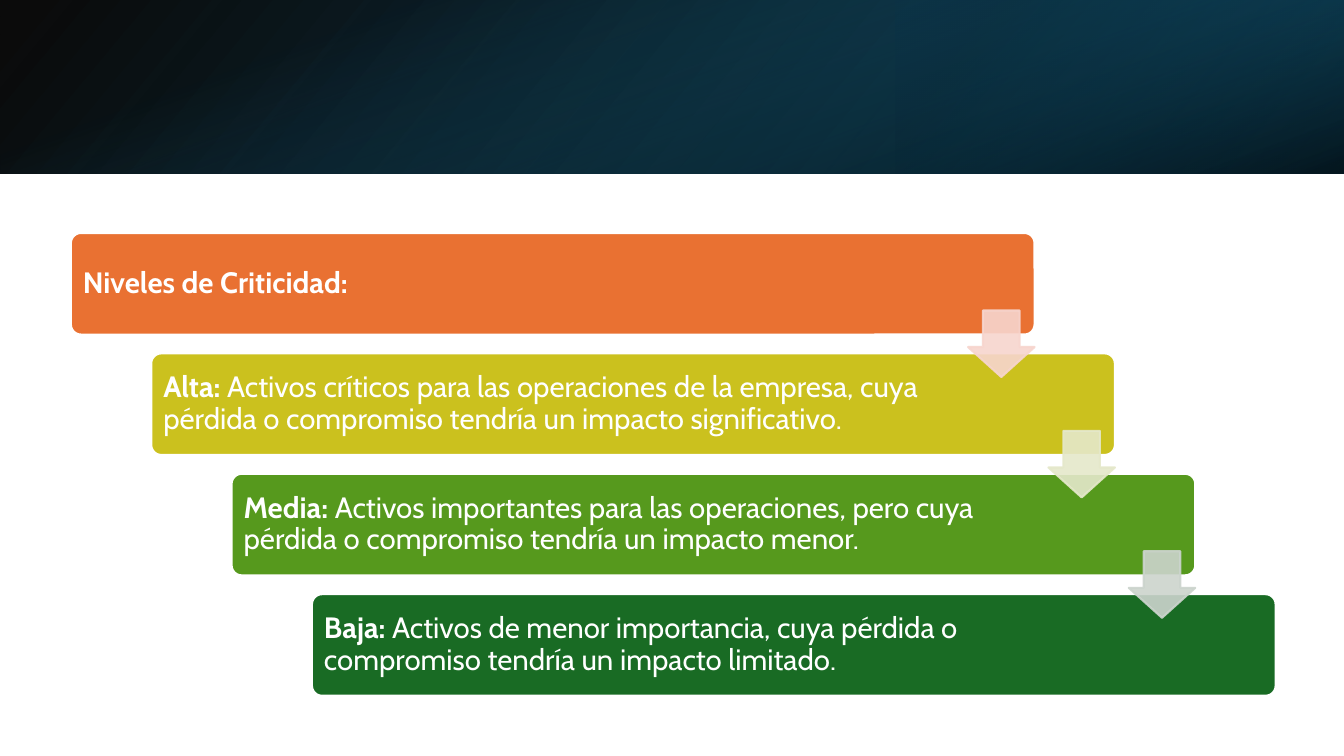
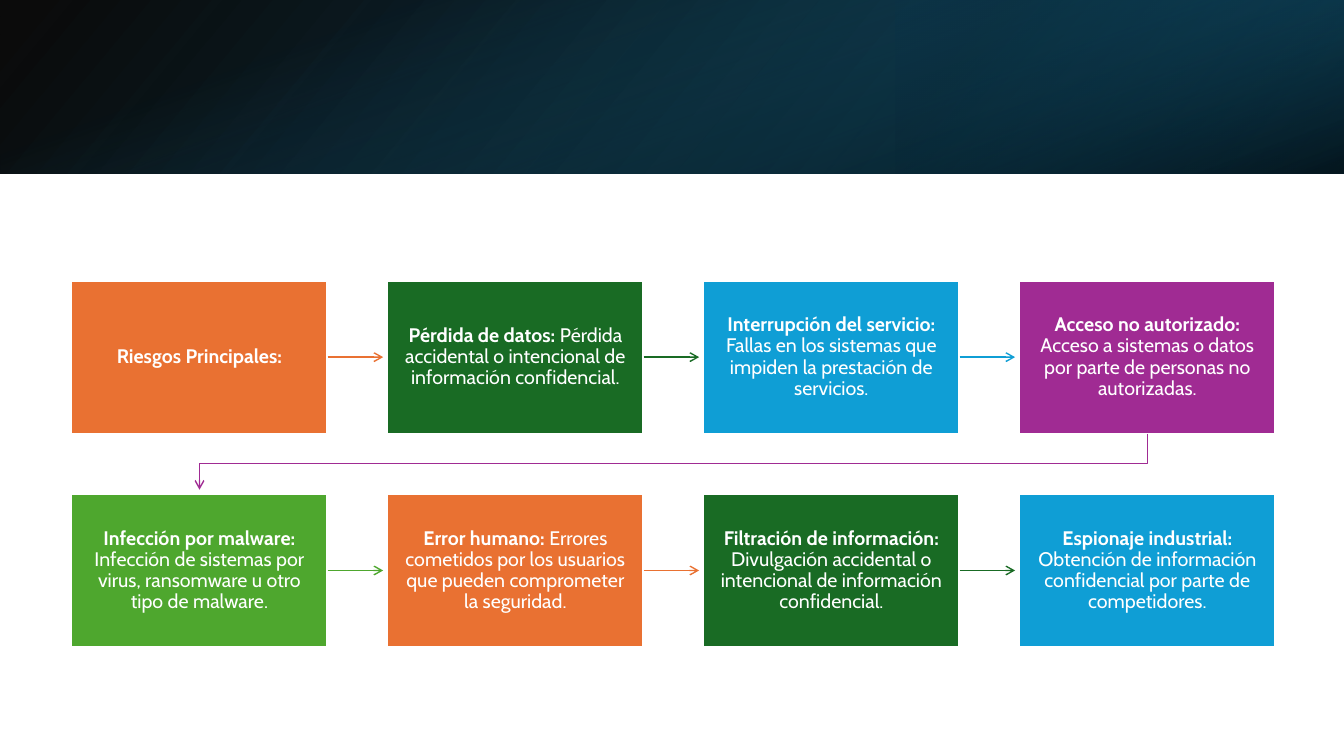
"""Build two slides: a staircase of asset levels and a chain of main risks."""
import pptx
import pptx.dml.color
import pptx.enum.shapes
import pptx.enum.text
import pptx.oxml
import pptx.oxml.ns
import pptx.util
from lxml import etree

Pt = pptx.util.Pt
qn = pptx.oxml.ns.qn
KIND = pptx.enum.shapes.MSO_SHAPE
ALIGN = pptx.enum.text.PP_ALIGN
WIDE, HIGH, BAND = 960, 540, 124
FONT = "Cabin"
HUES = {
    "white": "FFFFFF", "black": "000000", "navy": "0B3041", "teal": "156082",
    "blue": "104862", "orange": "E97132", "gold": "CBC11E", "leaf": "56991D",
    "forest": "196B24", "sky": "0F9ED5", "plum": "A02B93", "green": "4EA72E",
    "blush": "F7D5CE", "cream": "E5E8CA", "mist": "CCD4CD",
}
BANDS = [
    dict(at=(0, 0, WIDE, BAND), flip=True, turn=0, angle=140,
         stops=[(0, "black", 96), (100, "blue", 100)]),
    dict(at=(640, 0, 320, BAND), flip=True, turn=180, angle=320,
         stops=[(19, "navy", 68), (100, "teal", 79)]),
    dict(at=((WIDE - BAND) / 2, (BAND - WIDE) / 2, BAND, WIDE), flip=False,
         turn=90, angle=340, stops=[(23, "teal", 0), (99, "black", 74)]),
]
LEVELS = [
    ("orange", "blush", "Niveles de Criticidad:", ""),
    ("gold", "cream", "Alta:", " Activos críticos para las operaciones de la "
     "empresa, cuya pérdida o compromiso tendría un impacto significativo."),
    ("leaf", "mist", "Media:", " Activos importantes para las operaciones, "
     "pero cuya pérdida o compromiso tendría un impacto menor."),
    ("forest", None, "Baja:", " Activos de menor importancia, cuya pérdida o "
     "compromiso tendría un impacto limitado."),
]
RISKS = [
    ("orange", "Riesgos Principales:", ""),
    ("forest", "Pérdida de datos:",
     " Pérdida accidental o intencional de información confidencial."),
    ("sky", "Interrupción del servicio:",
     " Fallas en los sistemas que impiden la prestación de servicios."),
    ("plum", "Acceso no autorizado:",
     " Acceso a sistemas o datos por parte de personas no autorizadas."),
    ("green", "Infección por malware:",
     " Infección de sistemas por virus, ransomware u otro tipo de malware."),
    ("orange", "Error humano:",
     " Errores cometidos por los usuarios que pueden comprometer la seguridad."),
    ("forest", "Filtración de información:",
     " Divulgación accidental o intencional de información confidencial."),
    ("sky", "Espionaje industrial:",
     " Obtención de información confidencial por parte de competidores."),
]


def tint(name):
    return pptx.dml.color.RGBColor.from_string(HUES[name])


def shape(slide, kind, at):
    item = slide.shapes.add_shape(kind, *map(Pt, at))
    item.shadow.inherit = False
    return item


def paint(item, fill, edge, width=1.5):
    item.fill.solid()
    item.fill.fore_color.rgb = tint(fill)
    item.line.color.rgb = tint(edge)
    item.line.width = Pt(width)


def write(par, text, size=14, bold=False, hue="white"):
    run = par.add_run()
    run.text = text
    run.font.name = FONT
    run.font.size = Pt(size)
    run.font.bold = bold
    run.font.color.rgb = tint(hue)


def card(slide, kind, at, hue, head, body, size, align, pads):
    item = shape(slide, kind, at)
    paint(item, hue, "white")
    frame = item.text_frame
    frame.word_wrap = True
    frame.vertical_anchor = pptx.enum.text.MSO_ANCHOR.MIDDLE
    (frame.margin_left, frame.margin_top,
     frame.margin_right, frame.margin_bottom) = map(Pt, pads)
    par = frame.paragraphs[0]
    par.alignment = align
    par.line_spacing = 0.9
    write(par, head, size=size, bold=True)
    if body:
        write(par, body, size=size)
    return item


def blend(slide, at, flip, turn, angle, stops):
    item = shape(slide, KIND.RECTANGLE, at)
    item.line.fill.background()
    item.rotation = turn
    props = item.element.spPr
    if flip:
        props.find(qn("a:xfrm")).set("flipH", "1")
    grad = etree.Element(qn("a:gradFill"), rotWithShape="1")
    marks = etree.SubElement(grad, qn("a:gsLst"))
    for place, hue, alpha in stops:
        mark = etree.SubElement(marks, qn("a:gs"), pos=str(place * 1000))
        color = etree.SubElement(mark, qn("a:srgbClr"), val=HUES[hue])
        etree.SubElement(color, qn("a:alpha"), val=str(alpha * 1000))
    etree.SubElement(grad, qn("a:lin"), ang=str(angle * 60000), scaled="0")
    props.find(qn("a:prstGeom")).addnext(grad)


def page(deck):
    slide = deck.slides.add_slide(deck.slide_layouts[6])
    for band in BANDS:
        blend(slide, **band)
    return slide


def drop(slide, at, hue):
    item = shape(slide, KIND.DOWN_ARROW, at)
    item.adjustments[0] = 0.55
    item.adjustments[1] = 0.45
    paint(item, hue, hue)
    for color in item.element.spPr.iter(qn("a:srgbClr")):
        etree.SubElement(color, qn("a:alpha"), val="90000")


def point(item, hue):
    item.line.color.rgb = tint(hue)
    item.line.width = Pt(1)
    line = item.element.spPr.find(qn("a:ln"))
    etree.SubElement(line, qn("a:tailEnd"), type="arrow")


def link(slide, start, end, hue):
    item = slide.shapes.add_connector(
        pptx.enum.shapes.MSO_CONNECTOR.STRAIGHT, 0, 0, *end)
    item.begin_connect(start, 3)
    point(item, hue)
    etree.SubElement(item.element.spPr, qn("a:effectLst"))


def bend(slide, start, goal, gap, hue):
    right = start.left + start.width // 2
    left = goal.left + goal.width // 2
    top = start.top + start.height
    mid = (top + goal.top) // 2
    pen = slide.shapes.build_freeform(right, top)
    pen.add_line_segments(
        [(right, mid), (left, mid), (left, goal.top - gap)], close=False)
    item = pen.convert_to_shape()
    item.shadow.inherit = False
    item.fill.background()
    point(item, hue)


def stairs(slide):
    left, top, wide, high = 50.6, 166.4, 688.4, 72.6
    over, down, side = 57.4, 86, 47.5
    for row, (hue, _, head, body) in enumerate(LEVELS):
        at = left + row * over, top + row * down, wide, high
        card(slide, KIND.ROUNDED_RECTANGLE, at, hue, head, body, 21,
             ALIGN.LEFT, (6.5, 6.5, 111, 6.5)).adjustments[0] = 0.1
    for row, (_, hue, _, _) in enumerate(LEVELS[:-1]):
        drop(slide, (left + wide - side + row * over,
                     top + 55.4 + row * down, side, side), hue)


def chain(slide):
    left, top, wide, high = 51, 200.4, 183, 109.4
    over, down, cols, gap = 225.7, 152.4, 4, Pt(3)
    cards = []
    for spot, (hue, head, body) in enumerate(RISKS):
        row, col = divmod(spot, cols)
        at = left + col * over, top + row * down, wide, high
        cards.append(card(slide, KIND.RECTANGLE, at, hue, head, body, 14,
                          ALIGN.CENTER, (9, 9.4, 9, 9.4)))
    for spot, (start, goal) in enumerate(zip(cards, cards[1:])):
        hue = RISKS[spot][0]
        if start.top == goal.top:
            end = goal.left - gap, goal.top + goal.height // 2
            link(slide, start, end, hue)
        else:
            bend(slide, start, goal, gap, hue)


def main():
    deck = pptx.Presentation()
    deck.slide_width, deck.slide_height = Pt(WIDE), Pt(HIGH)
    stairs(page(deck))
    chain(page(deck))
    deck.save("out.pptx")


if __name__ == "__main__":
    main()
